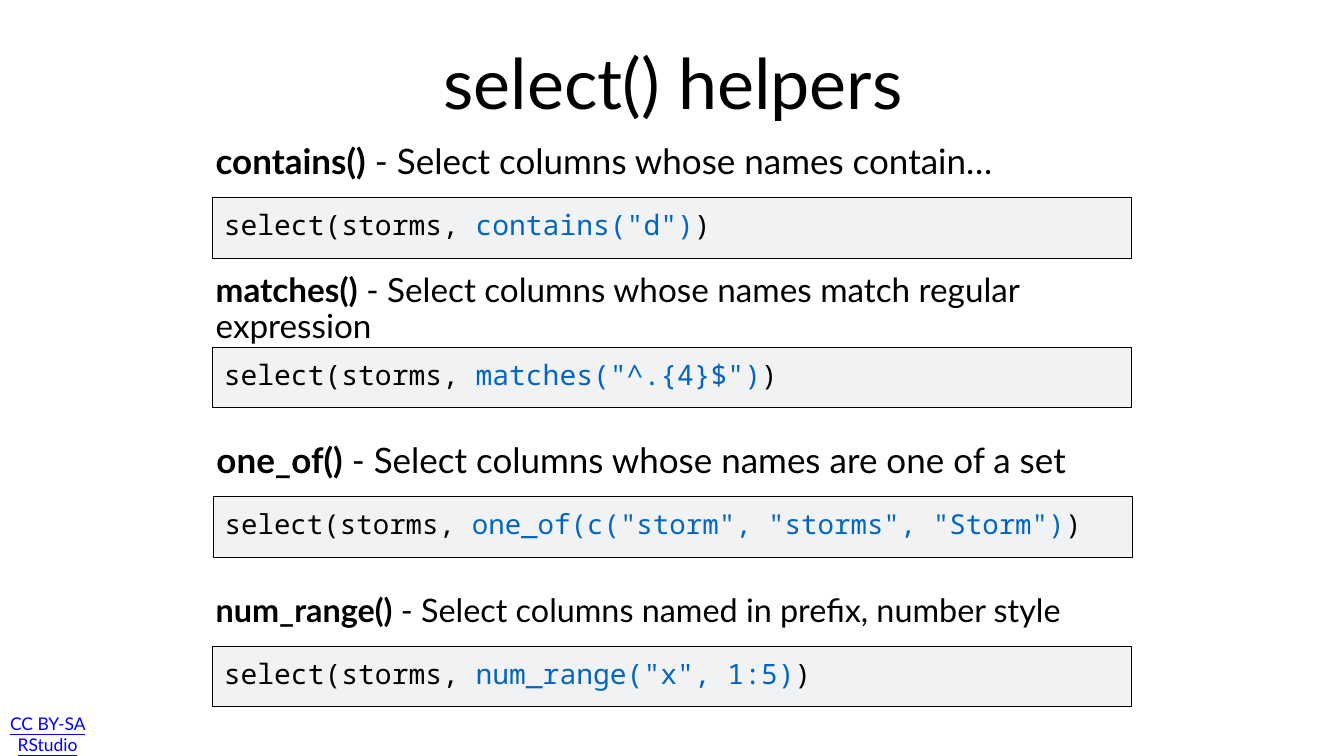
from pptx import Presentation
from pptx.dml.color import RGBColor
from pptx.enum.shapes import MSO_SHAPE
from pptx.enum.text import MSO_ANCHOR, PP_ALIGN
from pptx.util import Cm, Pt

RECTANGLE = MSO_SHAPE.RECTANGLE
TOP, MIDDLE = MSO_ANCHOR.TOP, MSO_ANCHOR.MIDDLE
LEFT, CENTER = PP_ALIGN.LEFT, PP_ALIGN.CENTER

# Content
TITLE = "select() helpers"
LICENSE = "CC BY-SA RStudio"
HELPERS = [
    # name, description, heading size, line spacing, call, code size, shift in cm
    ("contains()", " - Select columns whose names contain…", 50, 1,
     'contains("d")', 40, 0),
    ("matches()", " - Select columns whose names match regular expression", 47.5, 0.9,
     'matches("^.{4}$")', 40, 0),
    ("one_of()", " - Select columns whose names are one of a set", 50, 1,
     'one_of(c("storm", "storms", "Storm")', 39.2, 0.04),
    ("num_range()", " - Select columns named in prefix, number style", 46.2, 1,
     'num_range("x", 1:5)', 40, 0),
]

# Style and grid, in cm
SANS, MONO = "Lato", "Noto Sans Mono"
BLACK, CALL_BLUE, LINK_BLUE, CODE_FILL = "000000", "0365C0", "0000FF", "F0F2F4"
ROW_LEFT, ROW_TOP, ROW_PITCH = 10.72, 6.1, 7.54
ROW_WIDTH, HEADING_HEIGHT = 46.3, 3.96
CODE_OFFSET, CODE_HEIGHT = 3.85, 3.05


def color(value):
    return RGBColor.from_string(value)


def box(left, top, width, height):
    return Cm(left), Cm(top), Cm(width), Cm(height)


def set_frame(shape, anchor, align, inset_x=0.15, inset_y=0.15):
    frame = shape.text_frame
    frame.word_wrap = True
    frame.vertical_anchor = anchor
    frame.margin_left = frame.margin_right = Cm(inset_x)
    frame.margin_top = frame.margin_bottom = Cm(inset_y)
    paragraph = frame.paragraphs[0]
    paragraph.alignment = align
    return paragraph


def add_run(paragraph, text, size, font=SANS, ink=BLACK, bold=False, underline=False):
    run = paragraph.add_run()
    run.text = text
    run.font.size = Pt(size)
    run.font.name = font
    run.font.color.rgb = color(ink)
    run.font.bold = bold
    run.font.underline = underline


presentation = Presentation()
presentation.slide_width, presentation.slide_height = Cm(67.73), Cm(38.1)
slide = presentation.slides.add_slide(presentation.slide_layouts[5])

# License line
license_box = slide.shapes.add_textbox(*box(0.3, 36.22, 4.2, 1.52))
paragraph = set_frame(license_box, MIDDLE, CENTER, 0, 0.2)
add_run(paragraph, LICENSE, 25, ink=LINK_BLUE, underline=True)

# Title
title = slide.shapes.title
title.left, title.top, title.width, title.height = box(11.18, 0.76, 45.47, 6.65)
add_run(set_frame(title, MIDDLE, CENTER), TITLE, 100)

# One heading and one code box for each helper
for index, (name, description, size, spacing, call, code_size, shift) in enumerate(HELPERS):
    left, top = ROW_LEFT + shift, ROW_TOP + index * ROW_PITCH

    heading = slide.shapes.add_textbox(*box(left, top, ROW_WIDTH, HEADING_HEIGHT))
    paragraph = set_frame(heading, MIDDLE, LEFT)
    paragraph.line_spacing = spacing
    add_run(paragraph, name, size, bold=True)
    add_run(paragraph, description, size)

    code = slide.shapes.add_shape(
        RECTANGLE, *box(left, top + CODE_OFFSET, ROW_WIDTH, CODE_HEIGHT))
    code.shadow.inherit = False
    code.fill.solid()
    code.fill.fore_color.rgb = color(CODE_FILL)
    code.line.color.rgb = color(BLACK)
    code.line.width = Pt(1)
    paragraph = set_frame(code, TOP, LEFT, 0.56, 0.53)
    for text, ink in (("select(storms, ", BLACK), (call, CALL_BLUE), (")", BLACK)):
        add_run(paragraph, text, code_size, MONO, ink)

presentation.save("out.pptx")
